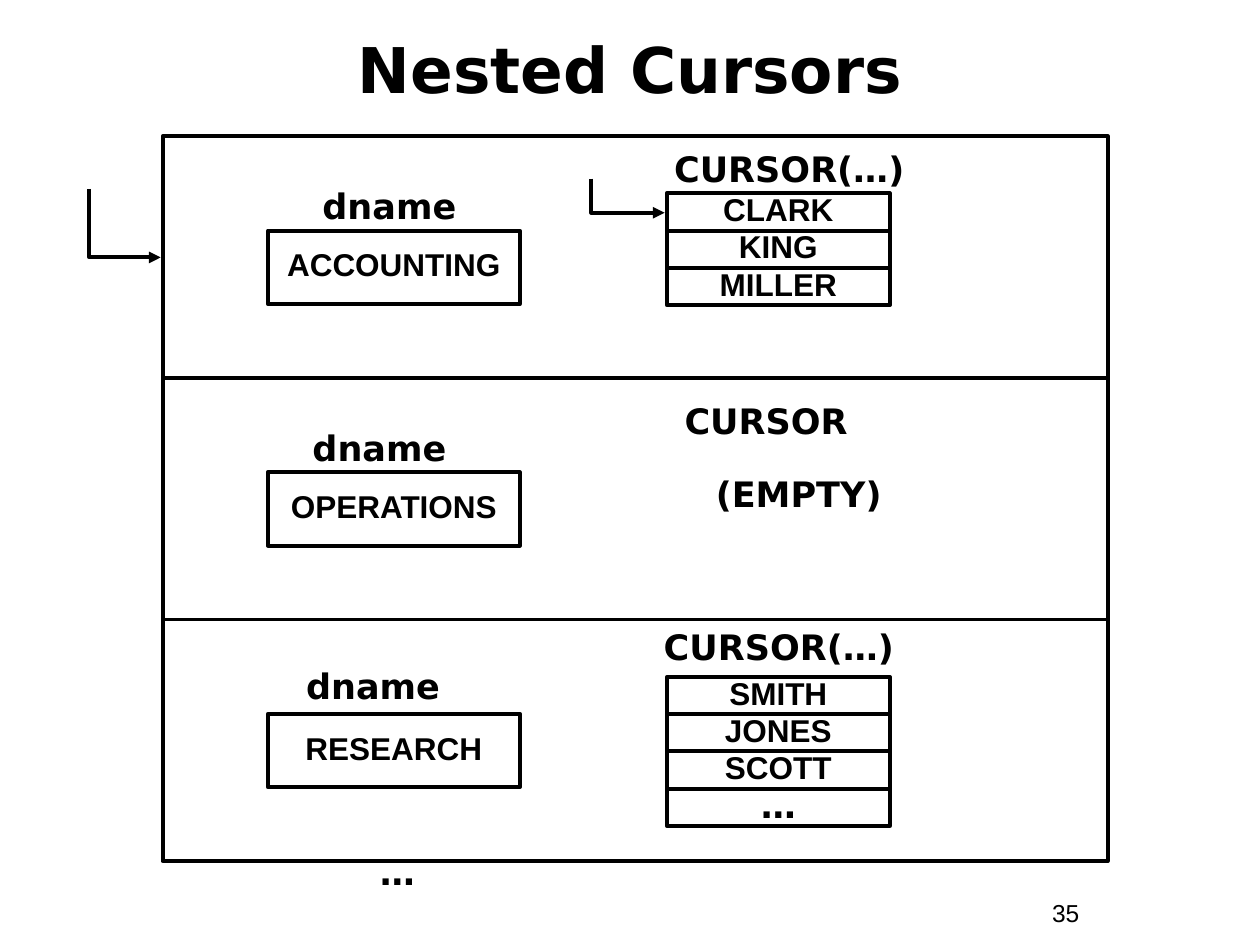
from pptx import Presentation
from pptx import util as u
from pptx.dml.color import RGBColor
from pptx.enum import shapes, text
from pptx.oxml import ns, xmlchemy

COLORS = {"ink": "000000"}
INK = RGBColor.from_string(COLORS["ink"])
FORMATS = {
    "title": {"name": "DejaVu Sans", "size": u.Pt(36), "bold": True},
    "label": {"name": "DejaVu Sans", "size": u.Pt(20), "bold": True},
    "value": {"name": "Arial", "size": u.Pt(18), "bold": True},
    "number": {"name": "Arial", "size": u.Pt(14), "bold": False},
}

prs = Presentation()
prs.slide_width, prs.slide_height = u.Cm(25.4), u.Cm(19.05)
s = prs.slides.add_slide(prs.slide_layouts[6])


def write(sp, words, style, centred=False, wrap=True, spacing=0.85):
    tf = sp.text_frame
    tf.word_wrap = wrap
    tf.vertical_anchor = text.MSO_ANCHOR.MIDDLE if centred else text.MSO_ANCHOR.TOP
    p = tf.paragraphs[0]
    p.alignment = text.PP_ALIGN.CENTER if centred else text.PP_ALIGN.LEFT
    p.line_spacing = spacing
    r = p.add_run()
    r.text = words
    for key, value in FORMATS[style].items():
        setattr(r.font, key, value)
    r.font.color.rgb = INK


def add_box(x, y, w, h):
    """Add an unfilled, outlined rectangle, measured in cm."""
    sp = s.shapes.add_shape(shapes.MSO_SHAPE.RECTANGLE, u.Cm(x), u.Cm(y), u.Cm(w), u.Cm(h))
    sp.shadow.inherit = False
    sp.fill.background()
    sp.line.color.rgb = INK
    sp.line.width = u.Pt(2.25)
    return sp


# Outer records, one per department
RECORD_X, RECORD_Y, RECORD_W, RECORD_H = 3.28, 2.75, 19.05, 4.87
for i, dept in enumerate(["ACCOUNTING", "OPERATIONS", "RESEARCH"]):
    y = RECORD_Y + i * RECORD_H
    add_box(RECORD_X, y, RECORD_W, RECORD_H)
    write(add_box(5.4, y + 1.9, 5.08, 1.48), dept, "value", centred=True, wrap=False)

# Inner cursors, one row per employee
ROW_H = 0.75
cursors = [
    (3.9, ["CLARK", "KING", "MILLER"]),
    (13.65, ["SMITH", "JONES", "SCOTT", "…"]),
]
for top, names in cursors:
    for i, name in enumerate(names):
        sp = add_box(13.44, top + i * ROW_H, 4.5, ROW_H)
        write(sp, name, "label" if name == "…" else "value", centred=True)

labels = [
    ("dname", 6.25, 3.73, 3.7),
    ("dname", 6.05, 8.61, 4.1),
    ("dname", 5.92, 13.41, 4.1),
    ("CURSOR(…)", 13.34, 2.97, 6.15),
    ("CURSOR", 13.55, 8.05, 4.15),
    ("(EMPTY)", 14.18, 9.53, 4.45),
    ("CURSOR(…)", 13.13, 12.62, 6.15),
    ("…", 7.41, 17.15, 3.6),
]
for words, x, y, w in labels:
    write(s.shapes.add_textbox(u.Cm(x), u.Cm(y), u.Cm(w), u.Cm(0.97)), words, "label")

title = s.shapes.add_textbox(u.Cm(0.85), u.Cm(0.21), u.Cm(23.7), u.Cm(2.33))
write(title, "Nested Cursors", "title", centred=True, spacing=1.0)
number = s.shapes.add_textbox(u.Cm(20.96), u.Cm(17.98), u.Cm(2.33), u.Cm(0.86))
write(number, "35", "number", spacing=1.0)

# Row pointers: down, then right. The one-bend preset runs right, then down,
# so it is mirrored and turned by 270 degrees about its centre.
for x1, y1, x2, y2 in [(1.8, 3.81, 3.24, 5.19), (11.92, 3.6, 13.4, 4.29)]:
    cx, cy = (x1 + x2) / 2, (y1 + y2) / 2
    w, h = y2 - y1, x2 - x1
    c = s.shapes.add_connector(
        shapes.MSO_CONNECTOR.ELBOW,
        u.Cm(cx - w / 2), u.Cm(cy - h / 2), u.Cm(cx + w / 2), u.Cm(cy + h / 2),
    )
    c.line.color.rgb = INK
    c.line.width = u.Pt(2.25)
    spPr = c._element.spPr
    spPr.find(ns.qn("a:prstGeom")).set("prst", "bentConnector2")
    xfrm = spPr.find(ns.qn("a:xfrm"))
    xfrm.set("rot", "16200000")
    xfrm.set("flipH", "1")
    tail = xmlchemy.OxmlElement("a:tailEnd")
    tail.set("type", "triangle")
    spPr.find(ns.qn("a:ln")).append(tail)
    spPr.append(xmlchemy.OxmlElement("a:effectLst"))

prs.save("out.pptx")
